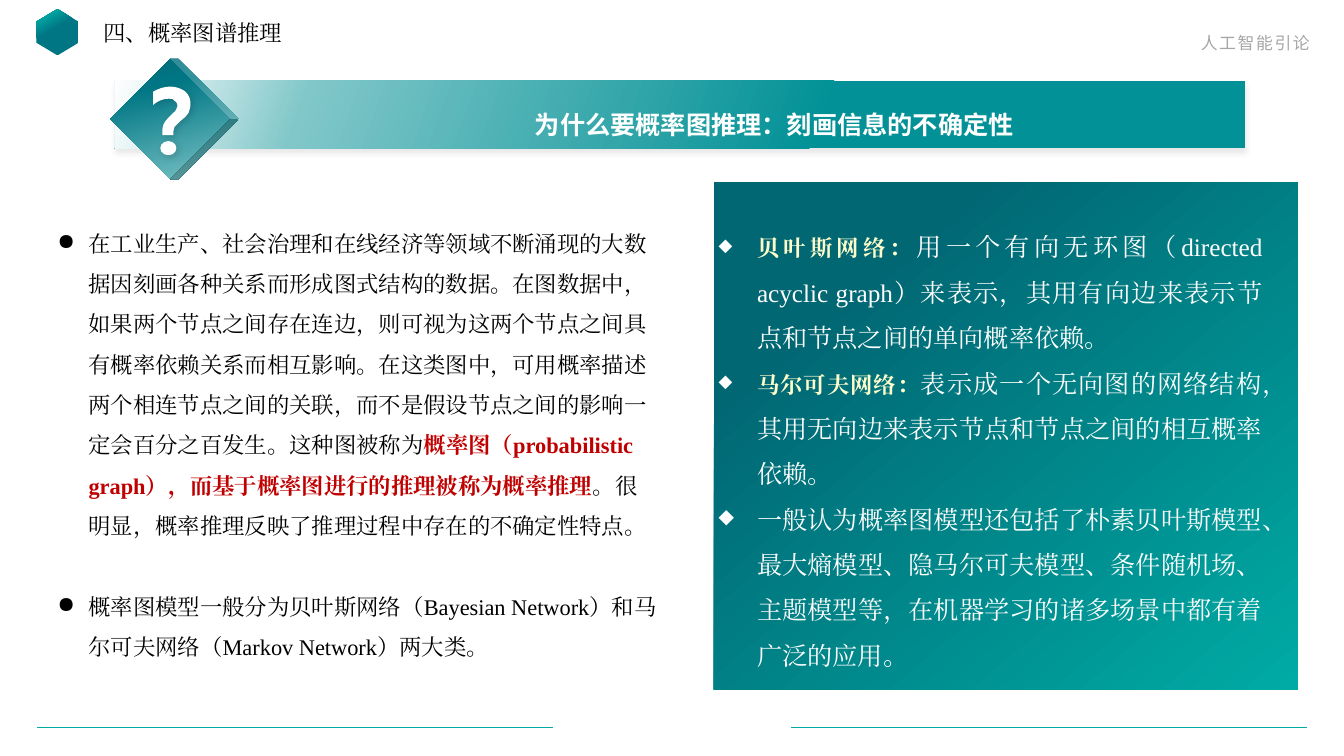
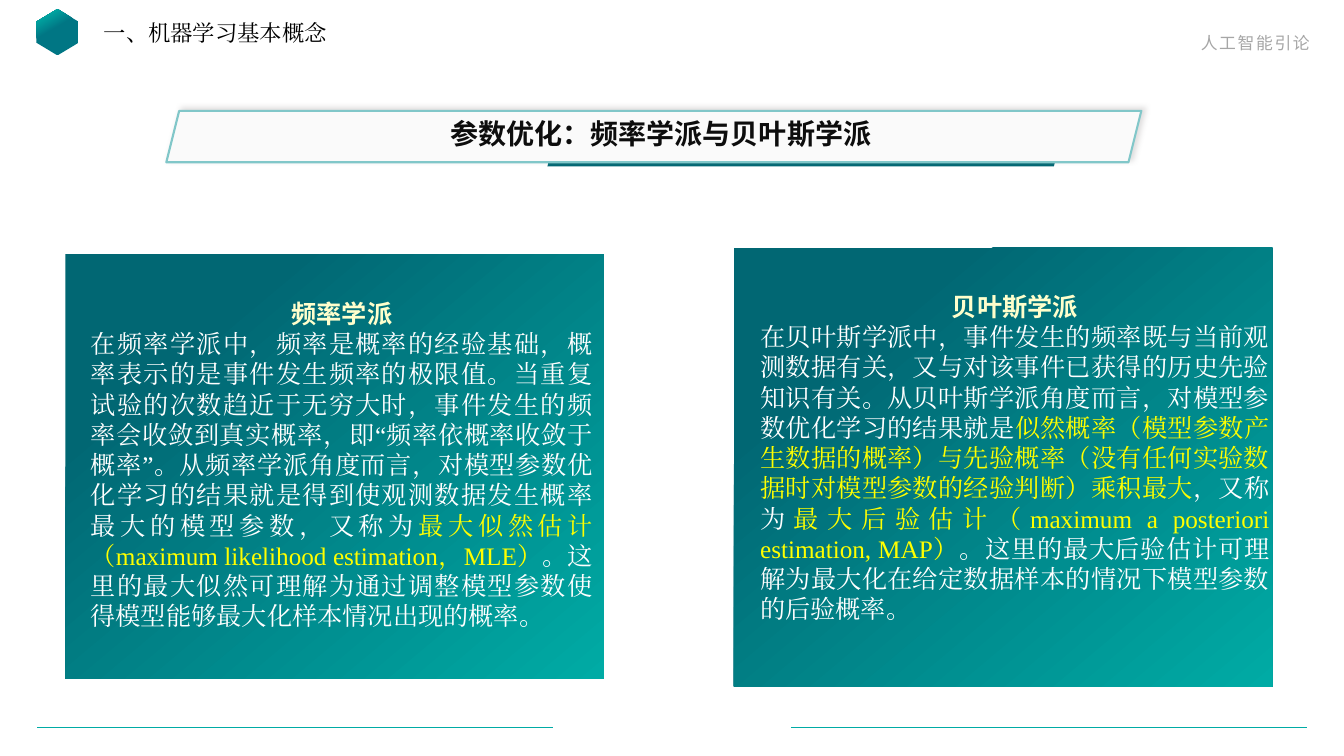
from dataclasses import dataclass

from pptx import Presentation
from pptx.dml.color import RGBColor
from pptx.enum.shapes import MSO_CONNECTOR as Connector, MSO_SHAPE as Preset
from pptx.enum.text import MSO_AUTO_SIZE as AutoSize, PP_ALIGN as Align
from pptx.oxml import parse_xml
from pptx.oxml.ns import nsdecls, qn
from pptx.util import Inches, Pt


@dataclass(frozen=True)
class Theme:
    deep: str = "016773"
    petrol: str = "007684"
    teal: str = "019196"
    bright: str = "00ABA5"
    mist: str = "81C7C9"
    paper: str = "FAFAFA"
    white: str = "FFFFFF"
    black: str = "000000"
    ink: str = "0D0D0D"
    grey: str = "A6A6A6"
    red: str = "C00000"
    cream: str = "FFFFCC"
    yellow: str = "FFFF00"
    serif: str = "Times New Roman"
    sans: str = "Noto Sans CJK SC"
    small: int = 12
    body: int = 16
    large: int = 18
    heading: int = 20


THEME = Theme()


@dataclass(frozen=True)
class Style:
    size: int
    color: str
    bold: bool = False
    font: str = THEME.serif
    spacing: int = 0


COURSE = Style(THEME.small, THEME.grey, font=THEME.sans, spacing=120)
PLAIN = Style(THEME.body, THEME.black)
KEY = Style(THEME.body, THEME.red, True)
TERM = Style(THEME.body, THEME.cream, True)
LIGHT = Style(THEME.large, THEME.white)
MARKED = Style(THEME.large, THEME.yellow)
BANNER = Style(THEME.large, THEME.white, True, THEME.sans)
SCHOOL = Style(THEME.large, THEME.cream, True, THEME.sans)
HEADING = Style(THEME.heading, THEME.ink, True, THEME.sans)


@dataclass(frozen=True)
class Bullet:
    char: str
    indent: float
    color: str
    percent: int = 100


@dataclass(frozen=True)
class Para:
    spans: tuple
    align: Align = Align.LEFT
    line: float = 1.0
    before: int = 0
    bullet: Bullet = None


DOT = Bullet("●", 0.31, THEME.black)
DIAMOND = Bullet("◆", 0.38, THEME.white, 80)


def element(markup):
    tag, rest = markup[1:].split(" ", 1)
    return parse_xml(f"<{tag} {nsdecls('a')} {rest}")


def add_bullet(para, bullet):
    props = para._p.get_or_add_pPr()
    props.set("marL", str(Inches(bullet.indent)))
    props.set("indent", str(-Inches(bullet.indent)))
    for markup in (
        f'<a:buClr ><a:srgbClr val="{bullet.color}"/></a:buClr>',
        f'<a:buSzPct val="{bullet.percent * 1000}"/>',
        f'<a:buChar char="{bullet.char}"/>',
    ):
        props.append(element(markup))


def format_span(span, style):
    font = span.font
    font.size, font.bold, font.name = Pt(style.size), style.bold, style.font
    font.color.rgb = RGBColor.from_string(style.color)
    props = span._r.get_or_add_rPr()
    props.find(qn("a:latin")).addnext(element(f'<a:ea typeface="{style.font}"/>'))
    if style.spacing:
        props.set("spc", str(style.spacing))


def add_text(page, at, paras, wrap=True):
    box = page.shapes.add_textbox(*map(Inches, at))
    frame = box.text_frame
    frame.word_wrap = wrap
    frame.auto_size = AutoSize.SHAPE_TO_FIT_TEXT
    for index, item in enumerate(paras):
        para = frame.paragraphs[0] if index == 0 else frame.add_paragraph()
        if item.bullet:
            add_bullet(para, item.bullet)
        para.alignment, para.line_spacing = item.align, item.line
        if item.before:
            para.space_before = Pt(item.before)
        for text, style in item.spans:
            span = para.add_run()
            span.text = text
            format_span(span, style)


def finish(shape, fill=None, line=None, shadow=None):
    shape.shadow.inherit = False
    if fill:
        shape.fill.solid()
        shape.fill.fore_color.rgb = RGBColor.from_string(fill)
    if line:
        shape.line.color.rgb = RGBColor.from_string(line)
        shape.line.width = Pt(1.5)
    else:
        shape.line.fill.background()
    if shadow:
        color, alpha, blur, distance, angle = shadow
        shape._element.spPr.find(qn("a:effectLst")).append(element(
            f'<a:outerShdw blurRad="{Pt(blur)}" dist="{Pt(distance)}" '
            f'dir="{angle * 60000}" rotWithShape="0"><a:srgbClr val="{color}">'
            f'<a:alpha val="{alpha * 1000}"/></a:srgbClr></a:outerShdw>'))
    return shape


def add_shape(page, preset, at, **look):
    return finish(page.shapes.add_shape(preset, *map(Inches, at)), **look)


def set_gradient(shape, stops, angle):
    marks = "".join(
        f'<a:gs pos="{place * 1000}"><a:srgbClr val="{color}"/></a:gs>'
        for place, color in stops)
    shape._element.spPr.find(qn("a:prstGeom")).addnext(element(
        f'<a:gradFill rotWithShape="1"><a:gsLst>{marks}</a:gsLst>'
        f'<a:lin ang="{angle * 60000}" scaled="0"/></a:gradFill>'))


def add_panel(page, at):
    panel = add_shape(page, Preset.RECTANGLE, at)
    set_gradient(panel, [(22, THEME.deep), (100, THEME.bright)], 50)


def add_rule(page, left, right, y):
    rule = page.shapes.add_connector(
        Connector.STRAIGHT, Inches(left), Inches(y), Inches(right), Inches(y))
    rule.line.color.rgb = RGBColor.from_string(THEME.bright)
    rule.line.width = Pt(0.5)
    rule._element.spPr.append(element("<a:effectLst />"))


def curve_points(start, curve, steps=8):
    corners = (start, *curve)
    for step in range(1, steps + 1):
        t = step / steps
        weights = ((1 - t) ** 3, 3 * t * (1 - t) ** 2, 3 * t * t * (1 - t), t ** 3)
        yield tuple(sum(w * c[axis] for w, c in zip(weights, corners))
                    for axis in (0, 1))


def add_outline(page, start, segments, **look):
    points = [start]
    for segment in segments:
        points += segment if len(segment) == 1 else curve_points(points[-1], segment)
    places = [(Inches(x), Inches(y)) for x, y in points]
    builder = page.shapes.build_freeform(*places[0])
    builder.add_line_segments(places[1:])
    finish(builder.convert_to_shape(), **look)


def add_question_badge(page):
    cube = add_shape(page, Preset.CUBE, (1.28, 0.73, 0.9, 0.9))
    cube.adjustments[0] = 0.06
    cube.rotation = 45
    set_gradient(cube, [(0, THEME.deep), (26, THEME.petrol), (100, THEME.mist)], 30)
    look = dict(fill=THEME.white, shadow=(THEME.black, 15, 5, 2, 45))
    add_outline(page, (1.69, 0.86), [
        [(1.75, 0.86), (1.8, 0.88), (1.84, 0.91)],
        [(1.87, 0.94), (1.89, 0.98), (1.89, 1.03)],
        [(1.89, 1.06), (1.88, 1.09), (1.87, 1.12)],
        [(1.85, 1.15), (1.83, 1.17), (1.79, 1.2)],
        [(1.76, 1.23), (1.74, 1.25), (1.73, 1.26)],
        [(1.73, 1.27), (1.72, 1.29), (1.72, 1.31)],
        [(1.72, 1.34)], [(1.61, 1.34)], [(1.61, 1.3)],
        [(1.61, 1.27), (1.62, 1.24), (1.63, 1.22)],
        [(1.64, 1.2), (1.66, 1.18), (1.68, 1.16)],
        [(1.71, 1.13), (1.73, 1.11), (1.74, 1.1)],
        [(1.75, 1.08), (1.76, 1.06), (1.76, 1.05)],
        [(1.76, 1.03), (1.75, 1.01), (1.73, 1)],
        [(1.72, 0.98), (1.7, 0.98), (1.67, 0.98)],
        [(1.62, 0.98), (1.57, 1), (1.52, 1.04)],
        [(1.52, 0.91)],
        [(1.57, 0.88), (1.63, 0.86), (1.69, 0.86)],
    ], **look)
    add_shape(page, Preset.OVAL, (1.59, 1.4, 0.16, 0.14), **look)


def add_page(deck, title, width):
    page = deck.slides.add_slide(deck.slide_layouts[6])
    add_text(page, (9.57, 0.28, 3.52, 0.3),
             [Para((("人工智能引论", COURSE),), Align.RIGHT)])
    emblem = add_shape(page, Preset.HEXAGON, (0.34, 0.11, 0.46, 0.42))
    emblem.adjustments[0] = 0.3
    emblem.rotation = 90
    set_gradient(emblem, [(57, THEME.petrol), (87, THEME.bright)], 150)
    for left in (0.37, 7.85):
        add_rule(page, left, left + 5.11, 7.22)
    add_text(page, (0.93, 0.14, width, 0.37), [Para(((title, PLAIN),))], wrap=False)
    return page


def add_school(page, panel, text, name, spans):
    add_panel(page, panel)
    add_text(page, text, [
        Para(((name, SCHOOL),), Align.CENTER, 2.5),
        Para(spans, Align.JUSTIFY),
    ])


def build_reasoning(deck):
    page = add_page(deck, "四、概率图谱推理", 2)
    banner = add_shape(page, Preset.RECTANGLE, (1.14, 0.8, 11.21, 0.67),
                       shadow=("262626", 10, 4, 3, 90))
    set_gradient(banner, [(37, THEME.teal), (83, THEME.mist), (100, THEME.white)], 200)
    add_question_badge(page)
    add_text(page, (2.96, 0.89, 9.44, 0.5), [
        Para((("为什么要概率图推理：刻画信息的不确定性", BANNER),), Align.CENTER, 1.5)])
    add_text(page, (0.47, 2.1, 6.15, 4.5), [
        Para((
            ("在工业生产、社会治理和在线经济等领域不断涌现的大数据因刻画各种关系而形成图式结构的数据。"
             "在图数据中，如果两个节点之间存在连边，则可视为这两个节点之间具有概率依赖关系而相互影响。"
             "在这类图中，可用概率描述两个相连节点之间的关联，而不是假设节点之间的影响一定会百分之百发生。"
             "这种图被称为", PLAIN),
            ("概率图（probabilistic graph），而基于概率图进行的推理被称为概率推理", KEY),
            ("。很明显，概率推理反映了推理过程中存在的不确定性特点。", PLAIN),
        ), line=1.5, bullet=DOT),
        Para((("概率图模型一般分为贝叶斯网络（Bayesian Network）和"
               "马尔可夫网络（Markov Network）两大类。", PLAIN),),
             line=1.5, before=29, bullet=DOT),
    ])
    add_panel(page, (7.08, 1.81, 5.79, 5.03))
    networks = (
        (("贝叶斯网络：", TERM),
         ("用一个有向无环图（directed acyclic graph）来表示，"
          "其用有向边来表示节点和节点之间的单向概率依赖。", LIGHT)),
        (("马尔可夫网络：", TERM),
         ("表示成一个无向图的网络结构，其用无向边来表示节点和节点之间的相互概率依赖。", LIGHT)),
        (("一般认为概率图模型还包括了朴素贝叶斯模型、最大熵模型、隐马尔可夫模型、条件随机场、"
          "主题模型等，在机器学习的诸多场景中都有着广泛的应用。", LIGHT),),
    )
    add_text(page, (7.03, 2.1, 5.59, 4.59),
             [Para(spans, Align.JUSTIFY, 1.5, bullet=DIAMOND) for spans in networks])


def build_schools(deck):
    page = add_page(deck, "一、机器学习基本概念", 2.45)
    add_shape(page, Preset.PARALLELOGRAM, (5.43, 1.14, 5.15, 0.51), fill=THEME.deep)
    add_shape(page, Preset.PARALLELOGRAM, (1.65, 1.1, 9.67, 0.51), fill=THEME.paper,
              line=THEME.mist, shadow=("AFABAB", 40, 4, 3, 315))
    add_text(page, (2.38, 1.11, 8.35, 0.44),
             [Para((("参数优化：频率学派与贝叶斯学派", HEADING),), Align.CENTER)])
    add_school(page, (0.65, 2.52, 5.34, 4.21), (0.8, 2.46, 5.18, 4.52), "频率学派", (
        ("在频率学派中，频率是概率的经验基础，概率表示的是事件发生频率的极限值。"
         "当重复试验的次数趋近于无穷大时，事件发生的频率会收敛到真实概率，即“频率依概率收敛于概率”。"
         "从频率学派角度而言，对模型参数优化学习的结果就是得到使观测数据发生概率最大的模型参数，又称为", LIGHT),
        ("最大似然估计（maximum likelihood estimation，MLE）", MARKED),
        ("。这里的最大似然可理解为通过调整模型参数使得模型能够最大化样本情况出现的概率。", LIGHT),
    ))
    add_school(page, (7.28, 2.46, 5.34, 4.35), (7.44, 2.39, 5.25, 4.82), "贝叶斯学派", (
        ("在贝叶斯学派中，事件发生的频率既与当前观测数据有关，又与对该事件已获得的历史先验知识有关。"
         "从贝叶斯学派角度而言，对模型参数优化学习的结果就是", LIGHT),
        ("似然概率（模型参数产生数据的概率）与先验概率"
         "（没有任何实验数据时对模型参数的经验判断）乘积最大", MARKED),
        ("，又称为", LIGHT),
        ("最大后验估计（maximum a posteriori estimation, MAP）", MARKED),
        ("。这里的最大后验估计可理解为最大化在给定数据样本的情况下模型参数的后验概率。", LIGHT),
    ))


def main():
    deck = Presentation()
    deck.slide_width, deck.slide_height = Inches(13.33), Inches(7.5)
    build_reasoning(deck)
    build_schools(deck)
    deck.save("out.pptx")


if __name__ == "__main__":
    main()
